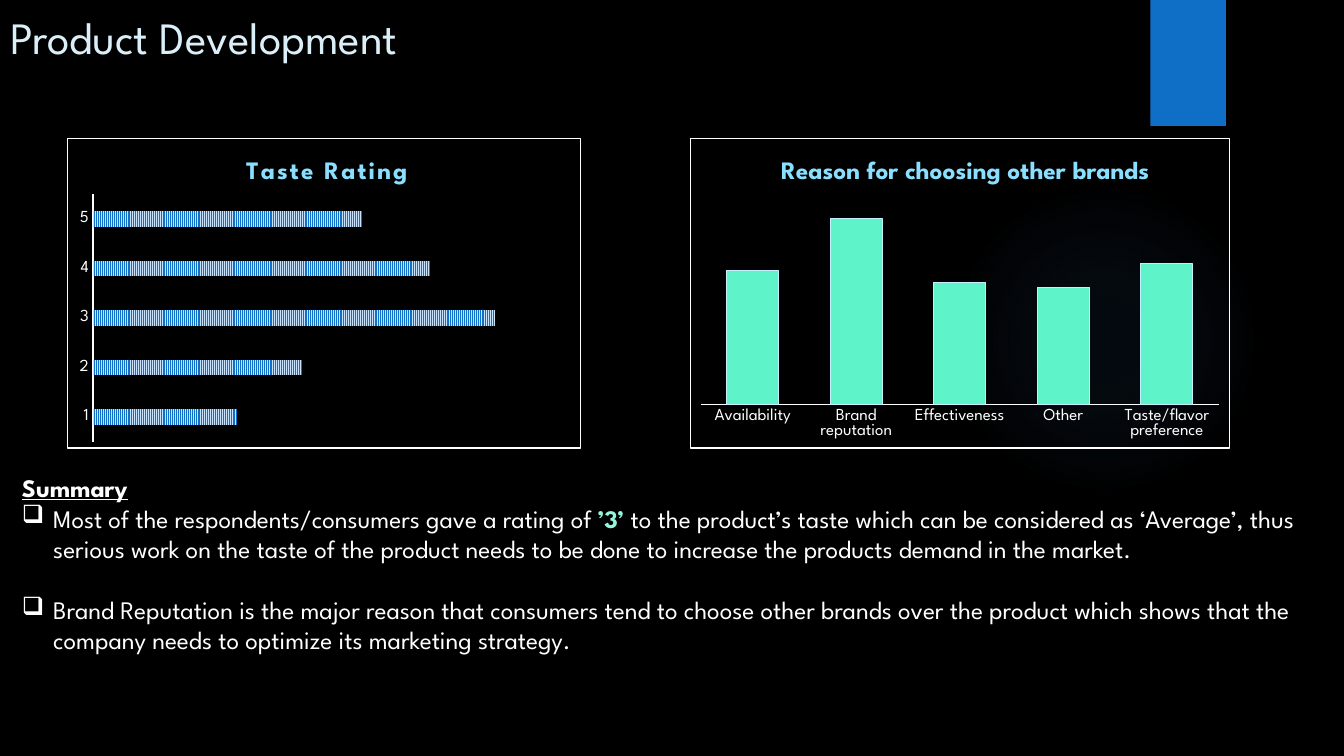
import pptx
import pptx.chart.data
import pptx.dml.color
import pptx.enum.chart
import pptx.enum.dml
import pptx.enum.shapes
import pptx.enum.text
import pptx.oxml
import pptx.oxml.ns
import pptx.util

FACE = "League Spartan"
WHITE = "FFFFFF"
SKY = "8ADFFF"
SPACE = ('xmlns:a="http://schemas.openxmlformats.org/drawingml/2006/main" '
         'xmlns:c="http://schemas.openxmlformats.org/drawingml/2006/chart"')
Inches = pptx.util.Inches
Pt = pptx.util.Pt
qn = pptx.oxml.ns.qn


def tint(color, code):
    color.rgb = pptx.dml.color.RGBColor.from_string(code)


def style(font, size=18, color=WHITE, bold=False, line=False):
    font.name = FACE
    font.size = Pt(size)
    font.bold = bold
    font.underline = line
    tint(font.color, color)


def write(para, text, **form):
    run = para.add_run()
    run.text = text
    style(run.font, **form)
    return run


def stroke(line, code, width):
    line.fill.solid()
    tint(line.color, code)
    line.width = Pt(width)


def add_form(slide, kind, *box):
    shape = slide.shapes.add_shape(kind, *map(Inches, box))
    shape.shadow.inherit = False
    shape.line.fill.background()
    return shape


def add_glow(slide):
    glow = add_form(slide, pptx.enum.shapes.MSO_SHAPE.OVAL, 9.41, 1.83, 3.08, 3.08)
    stops = "".join(
        f'<a:gs pos="{at * 1000}"><a:srgbClr val="448AD7">'
        f'<a:alpha val="{alpha * 1000}"/></a:srgbClr></a:gs>'
        for at, alpha in ((0, 7), (36, 6), (69, 0)))
    fill = pptx.oxml.parse_xml(
        f'<a:gradFill {SPACE}><a:gsLst>{stops}</a:gsLst><a:path path="circle">'
        '<a:fillToRect l="50000" t="50000" r="50000" b="50000"/></a:path></a:gradFill>')
    glow.element.spPr.find(qn("a:prstGeom")).addnext(fill)


def add_tab(slide):
    tab = add_form(slide, pptx.enum.shapes.MSO_SHAPE.RECTANGLE, 11.41, 0, 0.75, 1.25)
    tab.fill.solid()
    tint(tab.fill.fore_color, "0F6FC6")


def add_title(slide, text):
    title = slide.shapes.title
    title.left, title.top, title.width, title.height = map(Inches, (0, 0, 5.32, 0.68))
    frame = title.text_frame
    frame.vertical_anchor = pptx.enum.text.MSO_ANCHOR.BOTTOM
    para = frame.paragraphs[0]
    para.alignment = pptx.enum.text.PP_ALIGN.LEFT
    write(para, text, size=32, color="DBEFF9")


def place(node, index, inner=False, **spots):
    for old in node.findall(qn("c:layout")):
        node.remove(old)
    target = '<c:layoutTarget val="inner"/>' if inner else ""
    modes = "".join(f'<c:{key}Mode val="edge"/>' for key in spots if key in "xy")
    sizes = "".join(f'<c:{key} val="{val}"/>' for key, val in spots.items())
    node.insert(index, pptx.oxml.parse_xml(
        f'<c:layout {SPACE}><c:manualLayout>{target}{modes}{sizes}'
        '</c:manualLayout></c:layout>'))


def add_chart(slide, kind, box, title, names, vals, gap, lap, axis, head, plot):
    data = pptx.chart.data.CategoryChartData()
    data.categories = names
    data.add_series("Series 1", vals)
    chart = slide.shapes.add_chart(kind, *map(Inches, box), data).chart
    style(chart.font, size=10)
    chart.has_legend = False
    chart.has_title = True
    run = write(chart.chart_title.text_frame.paragraphs[0], title, color=SKY, bold=True)
    chart.chart_title.include_in_layout = False

    ticks = chart.category_axis
    ticks.major_tick_mark = pptx.enum.chart.XL_TICK_MARK.NONE
    ticks.has_major_gridlines = False
    style(ticks.tick_labels.font, size=12)
    stroke(ticks.format.line, WHITE, axis)
    scale = chart.value_axis
    scale.visible = False
    scale.has_major_gridlines = False
    scale.minimum_scale, scale.maximum_scale = 0, 120

    bars = chart.plots[0]
    bars.gap_width, bars.overlap = gap, lap
    bars.vary_by_categories = False
    body = chart.element.find(qn("c:chart"))
    place(body.find(qn("c:title")), 1, **head)
    place(body.find(qn("c:plotArea")), 0, inner=True, **plot)
    body.addnext(pptx.oxml.parse_xml(
        f'<c:spPr {SPACE}><a:noFill/><a:ln w="9525"><a:solidFill>'
        f'<a:srgbClr val="{WHITE}"/></a:solidFill></a:ln></c:spPr>'))
    return bars.series[0].format, run


def add_taste(slide):
    form, run = add_chart(
        slide, pptx.enum.chart.XL_CHART_TYPE.BAR_CLUSTERED, (0.66, 1.37, 5.1, 3.08),
        "Taste Rating", ["1", "2", "3", "4", "5"], (36, 52, 100, 84, 67),
        227, -48, 1.5, dict(x=0.34, y=0.05), dict(x=0.05, y=0.18, w=0.94, h=0.8))
    run.font._element.set("spc", "150")
    form.fill.patterned()
    form.fill.pattern = pptx.enum.dml.MSO_PATTERN.NARROW_VERTICAL
    tint(form.fill.fore_color, "0F6FC6")
    tint(form.fill.back_color, "C8E3FB")


def add_reason(slide):
    names = ["Availability", "Brand reputation", "Effectiveness", "Other",
             "Taste/flavor preference"]
    form, _ = add_chart(
        slide, pptx.enum.chart.XL_CHART_TYPE.COLUMN_CLUSTERED, (6.84, 1.37, 5.36, 3.08),
        "Reason for choosing other brands", names, (72, 100, 66, 63, 76),
        100, -24, 1, dict(x=0.16, y=0.05), dict(x=0.02, y=0.14, w=0.96, h=0.72))
    form.fill.solid()
    tint(form.fill.fore_color, "5FF3CA")
    stroke(form.line, "C4EFFF", 0.75)


def add_point(frame, parts, before=0):
    para = frame.add_paragraph()
    para.space_before = Pt(before)
    props = para._p.get_or_add_pPr()
    props.set("marL", str(Inches(0.31)))
    props.set("indent", str(-Inches(0.31)))
    props.append(pptx.oxml.parse_xml(f'<a:buChar {SPACE} char="❑"/>'))
    for text, form in parts:
        write(para, text, **form)


def add_notes(slide):
    frame = slide.shapes.add_textbox(*map(Inches, (0.12, 4.64, 13, 2.8))).text_frame
    frame.word_wrap = True
    write(frame.paragraphs[0], "Summary", bold=True, line=True)
    add_point(frame, [
        ("Most of the respondents/consumers gave a rating of ", {}),
        ("’3’ ", dict(color="94F7DC", bold=True)),
        ("to the product’s taste which can be considered as ‘Average’, thus serious "
         "work on the taste of the product needs to be done to increase the products "
         "demand in the market.", {})])
    add_point(frame, [
        ("Brand Reputation is the major reason that consumers tend to choose other "
         "brands over the product which shows that the company needs to optimize its "
         "marketing strategy.", {})], before=22)


def main():
    deck = pptx.Presentation()
    deck.slide_width, deck.slide_height = Inches(13.33), Inches(7.5)
    slide = deck.slides.add_slide(deck.slide_layouts[5])
    slide.background.fill.solid()
    tint(slide.background.fill.fore_color, "000000")
    add_glow(slide)
    add_tab(slide)
    add_title(slide, "Product Development")
    add_notes(slide)
    add_taste(slide)
    add_reason(slide)
    deck.save("out.pptx")


if __name__ == "__main__":
    main()
